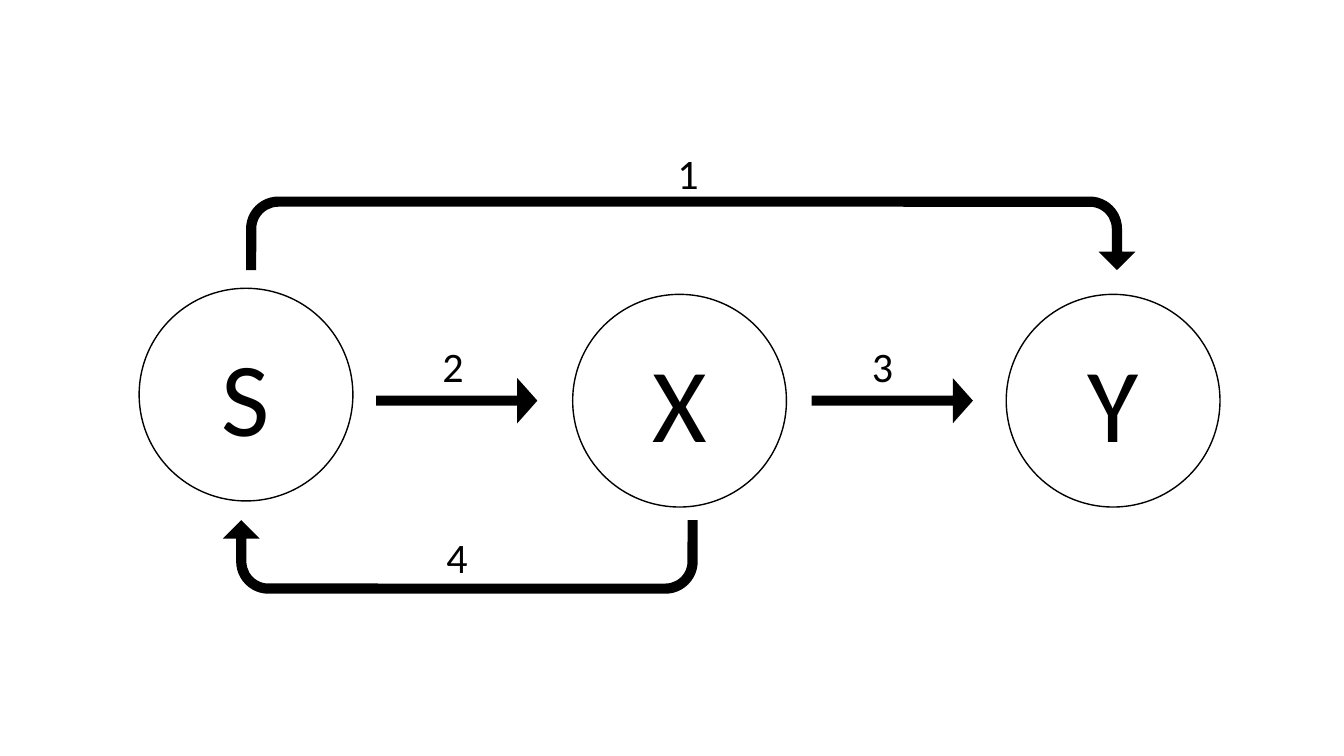
from pptx import Presentation
from pptx import util as u
from pptx.dml.color import RGBColor
from pptx.enum import shapes, text

COLORS = {"ink": "000000", "paper": "FFFFFF"}
FONT = "Calibri"

# Nodes stand on a row of equal steps: name, column, top
NODES = [("S", 0, 2.86), ("X", 1, 2.92), ("Y", 2, 2.92)]
LEFT, STEP = 1.38, 4.3
NODE_W, NODE_H = 2.12, 2.11

# Straight arrows: left edge
STRAIGHT = [3.73, 8.05]
# Bent arrows: left, top, width, rotation
BENT = [(2.44, 1.95, 8.82, 0), (2.21, 5.16, 4.71, 180)]
# Labels: wording, left, top
LABELS = [("1", 6.62, 1.41), ("2", 4.29, 3.33),
          ("3", 8.55, 3.33), ("4", 4.33, 5.22)]

KIND = shapes.MSO_SHAPE
ALIGN = text.PP_ALIGN


def tint(name):
    """Return the named colour."""
    return RGBColor.from_string(COLORS[name])


def write(shape, words, size, align=None, anchor=None):
    """Put formatted text into a shape."""
    frame = shape.text_frame
    frame.word_wrap = True
    if anchor is not None:
        frame.vertical_anchor = anchor
    para = frame.paragraphs[0]
    if align is not None:
        para.alignment = align
    run = para.add_run()
    run.text = words
    run.font.size = u.Pt(size)
    run.font.name = FONT
    run.font.color.rgb = tint("ink")


def draw(kind, box, fill, line=None, adjust=(), turn=0):
    """Add a flat preset shape; the box is in inches."""
    shape = slide.shapes.add_shape(kind, *map(u.Inches, box))
    shape.shadow.inherit = False
    shape.fill.solid()
    shape.fill.fore_color.rgb = tint(fill)
    if line:
        shape.line.color.rgb = tint(line)
        shape.line.width = u.Pt(1)
    else:
        shape.line.fill.background()
    for i, value in enumerate(adjust):
        shape.adjustments[i] = value
    shape.rotation = turn
    return shape


deck = Presentation()
deck.slide_width, deck.slide_height = u.Inches(13.33), u.Inches(7.5)
slide = deck.slides.add_slide(deck.slide_layouts[6])

for name, col, top in NODES:
    node = draw(KIND.OVAL, (LEFT + col * STEP, top, NODE_W, NODE_H),
                "paper", line="ink")
    write(node, name, 75, align=ALIGN.CENTER,
          anchor=text.MSO_ANCHOR.MIDDLE)

for left in STRAIGHT:
    draw(KIND.RIGHT_ARROW, (left, 3.75, 1.6, 0.45), "ink",
         adjust=(0.22, 0.444))

for left, top, width, turn in BENT:
    draw(KIND.U_TURN_ARROW, (left, top, width, 0.73), "ink",
         adjust=(0.139, 0.25, 0.25, 0.438, 1), turn=turn)

for words, left, top in LABELS:
    label = slide.shapes.add_textbox(*map(u.Inches, (left, top, 0.47, 0.61)))
    label.text_frame.auto_size = text.MSO_AUTO_SIZE.SHAPE_TO_FIT_TEXT
    write(label, words, 30)

deck.save("out.pptx")
